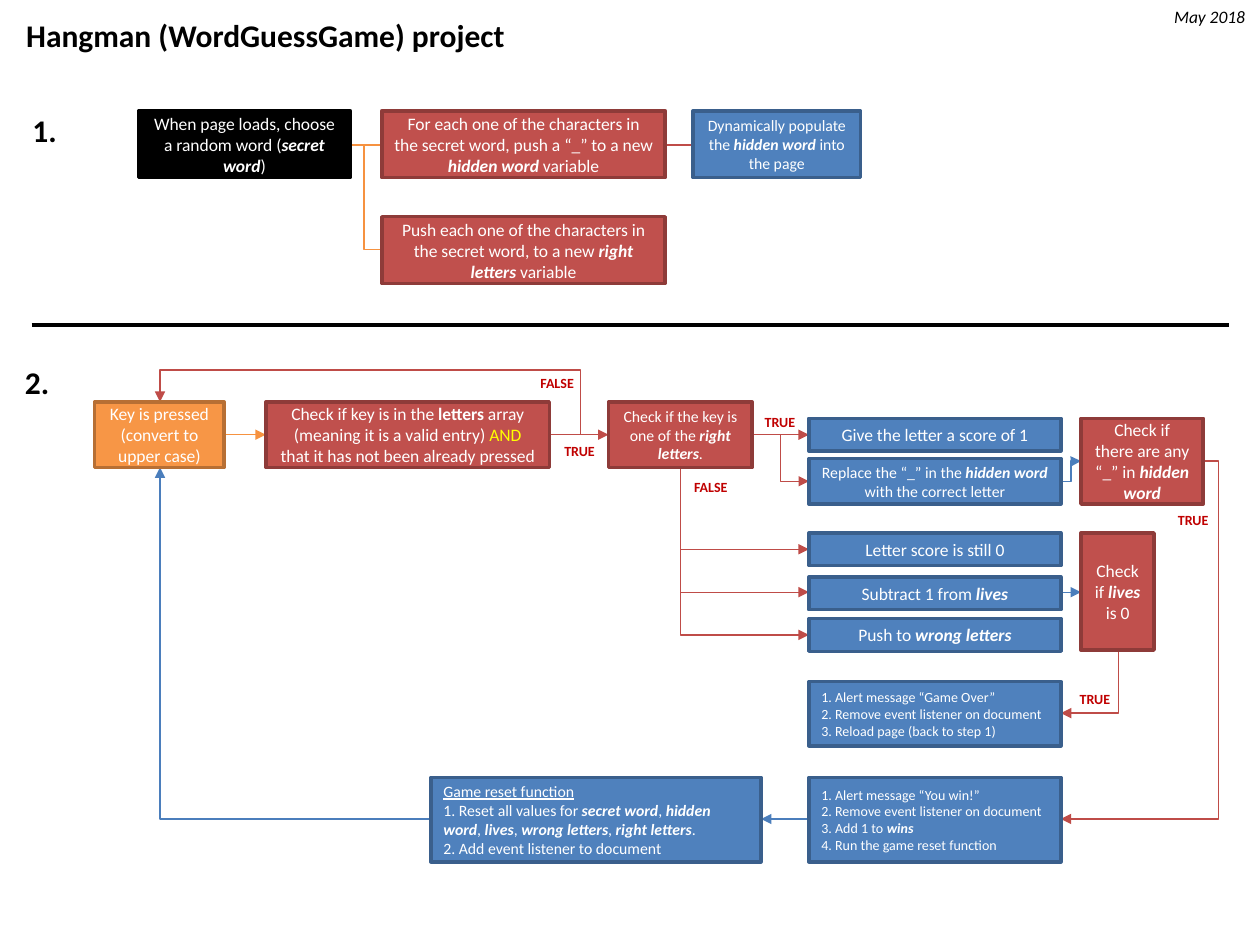
from pptx import Presentation
from pptx.dml.color import RGBColor
from pptx.enum.shapes import MSO_CONNECTOR, MSO_SHAPE
from pptx.enum.text import MSO_ANCHOR, MSO_AUTO_SIZE, PP_ALIGN
from pptx.oxml.ns import qn
from pptx.util import Inches, Pt
from lxml import etree

STRAIGHT, ELBOW = MSO_CONNECTOR.STRAIGHT, MSO_CONNECTOR.ELBOW
RECTANGLE = MSO_SHAPE.RECTANGLE
MIDDLE = MSO_ANCHOR.MIDDLE
GROW = MSO_AUTO_SIZE.SHAPE_TO_FIT_TEXT
LEFT, CENTER = PP_ALIGN.LEFT, PP_ALIGN.CENTER

BLACK = RGBColor(0x00, 0x00, 0x00)
WHITE = RGBColor(0xFF, 0xFF, 0xFF)
YELLOW = RGBColor(0xFF, 0xFF, 0x00)
LABEL_RED = RGBColor(0xC0, 0x00, 0x00)
RED_LINE = RGBColor(0xBF, 0x4C, 0x48)
BLUE_LINE = RGBColor(0x4B, 0x7E, 0xBC)
ORANGE_LINE = RGBColor(0xF6, 0x92, 0x40)
# Box colours: fill and border
BLACK_BOX = (BLACK, BLACK)
RED_BOX = (RGBColor(0xC0, 0x50, 0x4D), RGBColor(0x8E, 0x3B, 0x39))
BLUE_BOX = (RGBColor(0x4F, 0x81, 0xBD), RGBColor(0x3A, 0x5F, 0x8C))
ORANGE_BOX = (RGBColor(0xF7, 0x96, 0x46), RGBColor(0xB7, 0x6F, 0x34))

# A text piece that starts with one of these marks gets its font settings
MARKS = {
    "*": {"bold": True, "italic": True},
    "#": {"bold": True},
    "~": {"underline": True},
    "^": {"color": YELLOW},
}

presentation = Presentation()
presentation.slide_width = Inches(10)
presentation.slide_height = Inches(7.5)
slide = presentation.slides.add_slide(presentation.slide_layouts[6])


def write_text(frame, paragraphs, size, color, align=LEFT, **base):
    """Write paragraphs whose differently styled pieces are split by |."""
    for index, text in enumerate(paragraphs):
        paragraph = frame.paragraphs[0] if index == 0 else frame.add_paragraph()
        paragraph.alignment = align
        for piece in text.split("|"):
            style = {"color": color, "name": "Calibri", "size": Pt(size), **base}
            if piece[0] in MARKS:
                style.update(MARKS[piece[0]])
                piece = piece[1:]
            run = paragraph.add_run()
            run.text = piece
            run.font.color.rgb = style.pop("color")
            for name, value in style.items():
                setattr(run.font, name, value)


def add_line(kind, start, end, color, arrow=None, width=0.75, bends=3, adjust=()):
    """Draw a line; arrow is headEnd (at start) or tailEnd (at end)."""
    connector = slide.shapes.add_connector(
        kind, *(Inches(value) for value in (*start, *end)))
    connector.line.color.rgb = color
    connector.line.width = Pt(width)
    properties = connector._element.spPr
    if kind == ELBOW:
        geometry = properties.find(qn("a:prstGeom"))
        geometry.set("prst", f"bentConnector{bends}")
        guides = geometry.find(qn("a:avLst"))
        for number, value in enumerate(adjust, 1):
            etree.SubElement(guides, qn("a:gd"), name=f"adj{number}",
                             fmla=f"val {round(value * 100000)}")
    if arrow:
        etree.SubElement(properties.find(qn("a:ln")), qn(f"a:{arrow}"), type="triangle")
    etree.SubElement(properties, qn("a:effectLst"))


# Shared positions
SETUP_Y, KEY_Y = 1.15, 3.45
KEY_X, BRANCH_X = 1.27, 5.4
ACTION_X, ACTION_W = 6.42, 2
ACTION_RIGHT = ACTION_X + ACTION_W
CHECK_X, RESULT_Y = 8.58, 6.5
SETUP_H, KEY_H, ROW_H = 0.53, 0.52, 0.26

# Divider and straight lines
add_line(STRAIGHT, (0.25, 2.58), (9.75, 2.58), BLACK, width=2.25)
for x1, x2, y, color, arrow in [
    (2.78, 3.03, SETUP_Y, ORANGE_LINE, None),
    (5.28, 5.5, SETUP_Y, RED_LINE, None),
    (1.78, 2.11, KEY_Y, ORANGE_LINE, "tailEnd"),
    (4.36, 4.83, KEY_Y, RED_LINE, "tailEnd"),
    (5.97, ACTION_X, KEY_Y, RED_LINE, "tailEnd"),
    (ACTION_RIGHT, CHECK_X, 4.7, BLUE_LINE, "tailEnd"),
    (ACTION_X, 6.04, RESULT_Y, BLUE_LINE, "tailEnd"),
]:
    add_line(STRAIGHT, (x1, y), (x2, y), color, arrow)

# One-bend lines: horizontal from the start, then vertical
for start, end, color, arrow in [
    ((3.03, 1.98), (2.89, SETUP_Y), ORANGE_LINE, None),
    *[((ACTION_X, y), (BRANCH_X, 3.71), RED_LINE, "headEnd") for y in (4.36, 4.7, 5.04)],
    ((ACTION_RIGHT, 5.66), (8.88, 5.17), RED_LINE, "headEnd"),
    ((3.42, RESULT_Y), (KEY_X, 3.71), BLUE_LINE, "tailEnd"),
]:
    add_line(ELBOW, start, end, color, arrow, bends=2)

# Lines with more bends
add_line(ELBOW, (5.97, KEY_Y), (ACTION_X, 3.82), RED_LINE, "tailEnd")
add_line(ELBOW, (ACTION_RIGHT, 3.82), (CHECK_X, 3.66), BLUE_LINE, "tailEnd")
add_line(ELBOW, (9.55, 3.66), (ACTION_RIGHT, RESULT_Y), RED_LINE, "tailEnd",
         adjust=(-0.11,))
add_line(ELBOW, (4.36, KEY_Y), (KEY_X, 3.19), RED_LINE, "tailEnd",
         bends=4, adjust=(-0.08, 1.97))

# Boxes: left, top, width, height, colours, text size, alignment, paragraphs
boxes = [
    (1.1, 0.88, 1.68, SETUP_H, BLACK_BOX, 10, CENTER,
     ["When page loads, choose a random word (|*secret word|)"]),
    (3.03, 0.88, 2.25, SETUP_H, RED_BOX, 10, CENTER,
     ["For each one of the characters in the secret word, push a “_” to a new "
      "|*hidden word |variable"]),
    (3.03, 1.72, 2.25, SETUP_H, RED_BOX, 10, CENTER,
     ["Push each one of the characters in the secret word, to a new "
      "|*right letters |variable"]),
    (5.5, 0.88, 1.33, SETUP_H, BLUE_BOX, 9, CENTER,
     ["Dynamically populate the |*hidden word |into the page"]),
    (0.75, 3.19, 1.03, KEY_H, ORANGE_BOX, 10, CENTER,
     ["Key is pressed (convert to upper case)"]),
    (2.11, 3.19, 2.25, KEY_H, RED_BOX, 10, CENTER,
     ["Check if key is in the |#letters |array (meaning it is a valid entry) "
      "|^AND |that it has not been already pressed"]),
    (4.83, 3.19, 1.14, KEY_H, RED_BOX, 9, CENTER,
     ["Check if the key is one of the |*right letters|."]),
    (ACTION_X, 3.32, ACTION_W, ROW_H, BLUE_BOX, 10, CENTER,
     ["Give the letter a score of 1"]),
    (ACTION_X, 3.64, ACTION_W, 0.36, BLUE_BOX, 9, CENTER,
     ["Replace the “_” in the |*hidden word |with the correct letter"]),
    (ACTION_X, 4.23, ACTION_W, ROW_H, BLUE_BOX, 10, CENTER, ["Letter score is still 0"]),
    (ACTION_X, 4.58, ACTION_W, ROW_H, BLUE_BOX, 10, CENTER, ["Subtract 1 from |*lives"]),
    (ACTION_X, 4.91, ACTION_W, ROW_H, BLUE_BOX, 10, CENTER, ["Push to |*wrong letters"]),
    (CHECK_X, 3.32, 0.97, 0.68, RED_BOX, 10, CENTER,
     ["Check if there are any “_” in |*hidden word"]),
    (CHECK_X, 4.23, 0.58, 0.93, RED_BOX, 10, CENTER, ["Check if |*lives| is 0"]),
    (ACTION_X, 5.41, ACTION_W, 0.51, BLUE_BOX, 8, LEFT,
     ["1. Alert message “Game Over”", "2. Remove event listener on document",
      "3. Reload page (back to step 1)"]),
    (ACTION_X, 6.17, ACTION_W, 0.67, BLUE_BOX, 8, LEFT,
     ["1. Alert message “You win!”", "2. Remove event listener on document",
      "3. Add 1 to |*wins", "4. Run the game reset function"]),
    (3.42, 6.17, 2.62, 0.67, BLUE_BOX, 9, LEFT,
     ["~Game reset function",
      "1. Reset all values for |*secret word|, |*hidden word|, |*lives|, "
      "|*wrong letters|, |*right letters|.",
      "2. Add event listener to document"]),
]
for left, top, width, height, (fill, border), size, align, paragraphs in boxes:
    box = slide.shapes.add_shape(
        RECTANGLE, Inches(left), Inches(top), Inches(width), Inches(height))
    box.shadow.inherit = False
    box.fill.solid()
    box.fill.fore_color.rgb = fill
    box.line.color.rgb = border
    box.line.width = Pt(2)
    box.text_frame.word_wrap = True
    box.text_frame.vertical_anchor = MIDDLE
    write_text(box.text_frame, paragraphs, size, WHITE, align)

# Headings and branch labels
HEADING = {"size": 18, "color": BLACK, "bold": True}
DATE = {"size": 10, "color": BLACK, "italic": True}
BRANCH = {"size": 8, "color": LABEL_RED, "bold": True}
for left, top, width, height, text, style in [
    (0.11, 0.08, 4.03, 0.4, "Hangman (WordGuessGame) project", HEADING),
    (9.22, 0, 0.78, 0.27, "May 2018", DATE),
    (0.16, 0.83, 0.4, 0.4, "1.", HEADING),
    (0.1, 2.83, 0.4, 0.4, "2.", HEADING),
    *[(x, y, 0.45, 0.24, "TRUE", BRANCH)
      for x, y in [(4.38, 3.46), (5.97, 3.23), (8.47, 5.43), (9.25, 4.01)]],
    *[(x, y, 0.48, 0.24, "FALSE", BRANCH) for x, y in [(4.19, 2.92), (5.41, 3.75)]],
]:
    label = slide.shapes.add_textbox(
        Inches(left), Inches(top), Inches(width), Inches(height))
    label.text_frame.word_wrap = False
    label.text_frame.auto_size = GROW
    write_text(label.text_frame, [text], **style)

presentation.save("out.pptx")
